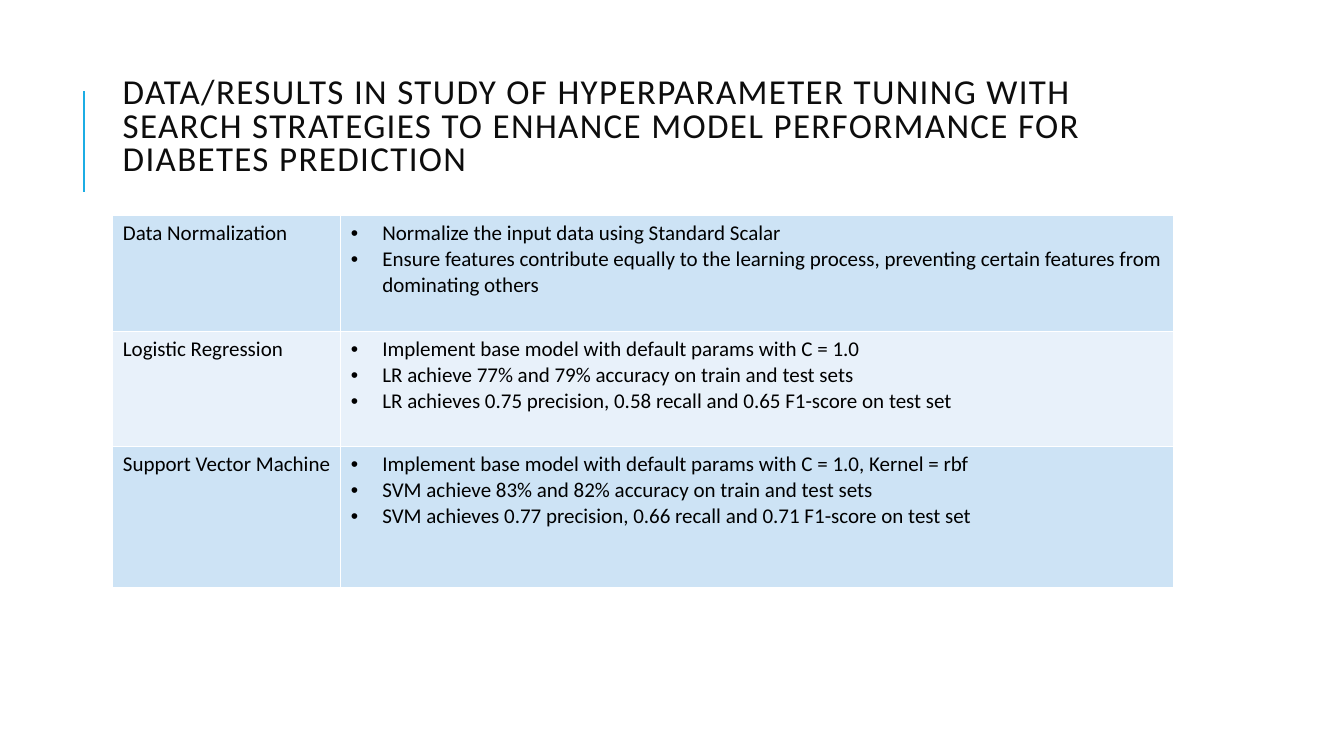
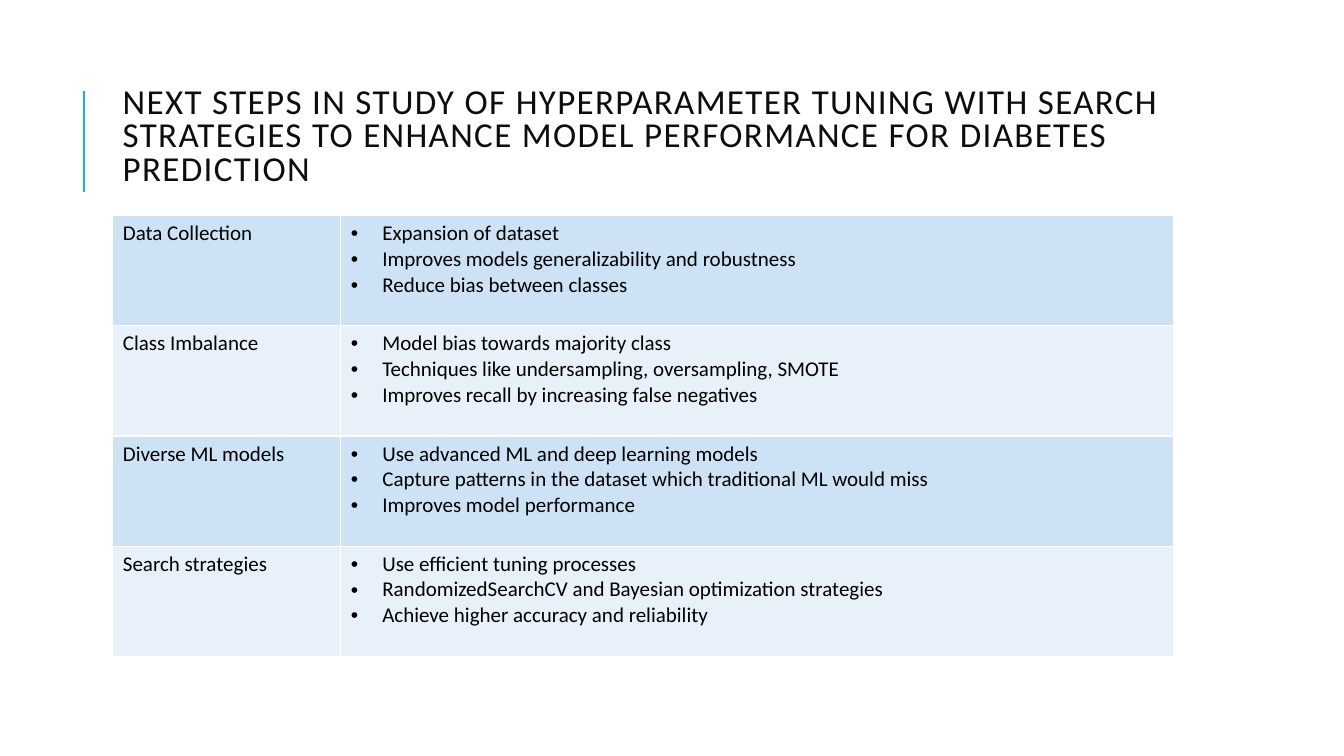
"""Two slides on a diabetes prediction study, each with a title and a two-column table."""
import pptx
import pptx.dml.color
import pptx.enum.shapes
import pptx.enum.text
import pptx.oxml.xmlchemy
import pptx.util

Pt = pptx.util.Pt
RGBColor = pptx.dml.color.RGBColor
OxmlElement = pptx.oxml.xmlchemy.OxmlElement

STUDY = "STUDY OF HYPERPARAMETER TUNING WITH SEARCH STRATEGIES TO ENHANCE MODEL PERFORMANCE FOR DIABETES PREDICTION"
SLIDES = [
    {
        "title": "DATA/RESULTS IN " + STUDY,
        "title_top": 46,
        "heights": [82.8, 82.2, 100.8],
        "rows": [
            ("Data Normalization", [
                "Normalize the input data using Standard Scalar",
                "Ensure features contribute equally to the learning process, "
                "preventing certain features from dominating others",
            ]),
            ("Logistic Regression", [
                "Implement base model with default params with C = 1.0",
                "LR achieve 77% and 79% accuracy on train and test sets",
                "LR achieves 0.75 precision, 0.58 recall and 0.65 F1-score on test set",
            ]),
            ("Support Vector Machine", [
                "Implement base model with default params with C = 1.0, Kernel = rbf",
                "SVM achieve 83% and 82% accuracy on train and test sets",
                "SVM achieves 0.77 precision, 0.66 recall and 0.71 F1-score on test set",
            ]),
        ],
    },
    {
        "title": "NEXT STEPS IN " + STUDY,
        "title_top": 59.8,
        "heights": [78.7] * 4,
        "rows": [
            ("Data Collection", [
                "Expansion of dataset",
                "Improves models generalizability and robustness",
                "Reduce bias between classes",
            ]),
            ("Class Imbalance", [
                "Model bias towards majority class",
                "Techniques like undersampling, oversampling, SMOTE",
                "Improves recall by increasing false negatives",
            ]),
            ("Diverse ML models", [
                "Use advanced ML and deep learning models",
                "Capture patterns in the dataset which traditional ML would miss",
                "Improves model performance",
            ]),
            ("Search strategies", [
                "Use efficient tuning processes",
                "RandomizedSearchCV and Bayesian optimization strategies",
                "Achieve higher accuracy and reliability",
            ]),
        ],
    },
]

ACCENT = RGBColor(0x1C, 0xAD, 0xE4)
BANDS = [RGBColor(0xCD, 0xE3, 0xF5), RGBColor(0xE8, 0xF1, 0xFA)]
TITLE_FONT = {"name": "Calibri", "size": Pt(25), "color": RGBColor(0x0D, 0x0D, 0x0D)}
CELL_FONT = {"name": "Calibri", "size": Pt(15), "color": RGBColor(0, 0, 0)}

LEFT = 80.6
TITLE_WIDTH, TITLE_BOTTOM = 765.4, 136.8
BAR_X, BAR_TOP = 60, 64.8
TABLE_TOP, COLUMNS = 154.1, [162.8, 594.6]
INDENT = 22.5


def add_run(p, text, font):
    r = p.add_run()
    r.text = text
    for name, value in font.items():
        if name == "color":
            r.font.color.rgb = value
        else:
            setattr(r.font, name, value)
    return r


def add_bar(s):
    bar = s.shapes.add_connector(pptx.enum.shapes.MSO_CONNECTOR.STRAIGHT,
                                 Pt(BAR_X), Pt(TITLE_BOTTOM), Pt(BAR_X), Pt(BAR_TOP))
    bar.line.color.rgb = ACCENT
    bar.line.width = Pt(1.5)
    bar._element.spPr.append(OxmlElement("a:effectLst"))


def add_title(s, text, top):
    tf = s.shapes.add_textbox(Pt(LEFT), Pt(top), Pt(TITLE_WIDTH), Pt(TITLE_BOTTOM - top)).text_frame
    tf.word_wrap = True
    tf.vertical_anchor = pptx.enum.text.MSO_ANCHOR.MIDDLE
    p = tf.paragraphs[0]
    p.line_spacing = 0.8
    r = add_run(p, text, TITLE_FONT)
    r._r.get_or_add_rPr().set("spc", "100")


def add_bullet(p):
    pPr = p._p.get_or_add_pPr()
    pPr.set("marL", str(int(Pt(INDENT))))
    pPr.set("indent", str(-int(Pt(INDENT))))
    for tag, key, value in (("a:buFont", "typeface", "Arial"), ("a:buChar", "char", "•")):
        mark = OxmlElement(tag)
        mark.set(key, value)
        pPr.append(mark)


def fill_cell(cell, lines, band, bulleted):
    cell.fill.solid()
    cell.fill.fore_color.rgb = band
    tf = cell.text_frame
    for i, line in enumerate(lines):
        p = tf.add_paragraph() if i else tf.paragraphs[0]
        if bulleted:
            add_bullet(p)
        add_run(p, line, CELL_FONT)


def add_rows(s, rows, heights):
    table = s.shapes.add_table(len(rows), len(COLUMNS), Pt(LEFT), Pt(TABLE_TOP),
                               Pt(sum(COLUMNS)), Pt(sum(heights))).table
    table.first_row = table.horz_banding = False
    for column, width in zip(table.columns, COLUMNS):
        column.width = Pt(width)
    for i, (label, points) in enumerate(rows):
        table.rows[i].height = Pt(heights[i])
        band = BANDS[i % 2]
        fill_cell(table.cell(i, 0), [label], band, False)
        fill_cell(table.cell(i, 1), points, band, True)


def main():
    prs = pptx.Presentation()
    prs.slide_width, prs.slide_height = Pt(960), Pt(540)
    for content in SLIDES:
        s = prs.slides.add_slide(prs.slide_layouts[6])
        add_bar(s)
        add_title(s, content["title"], content["title_top"])
        add_rows(s, content["rows"], content["heights"])
    prs.save("out.pptx")


if __name__ == "__main__":
    main()
